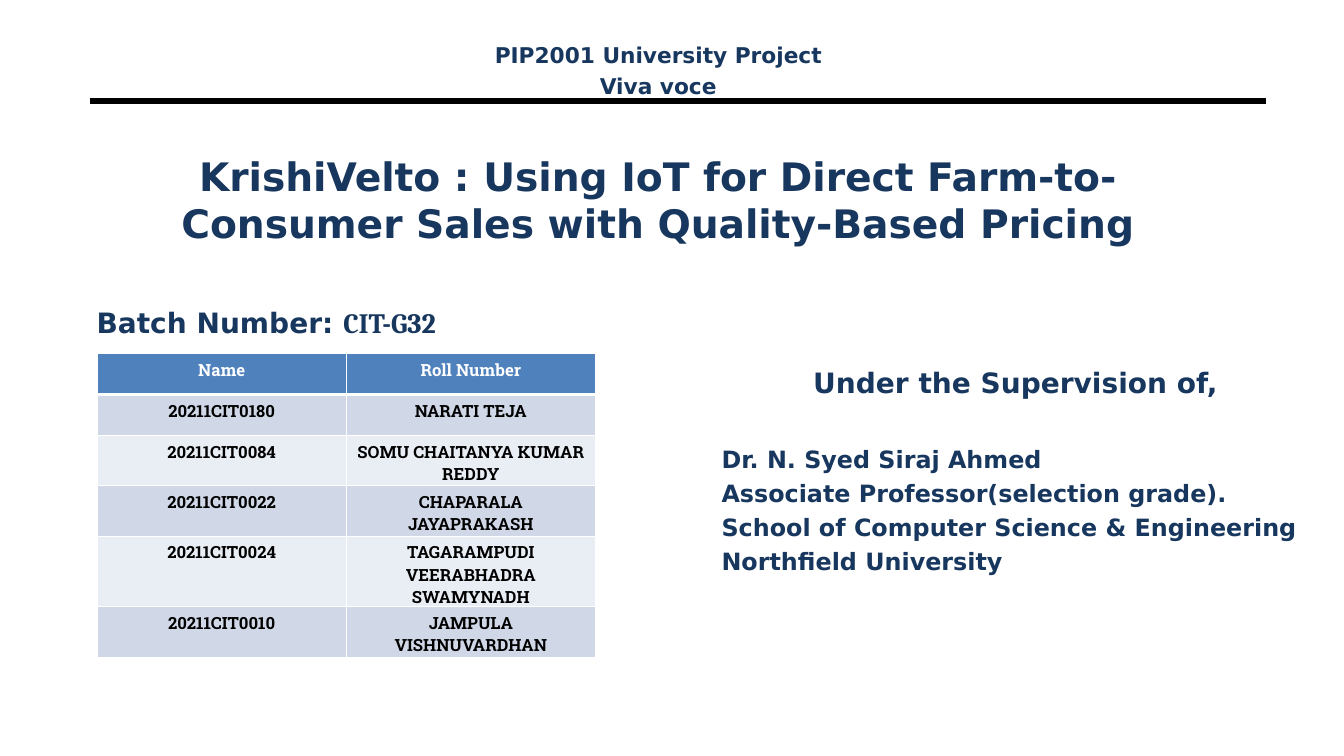
from dataclasses import dataclass

from lxml import etree
from pptx import Presentation
from pptx.dml.color import RGBColor
from pptx.enum.shapes import MSO_CONNECTOR
from pptx.enum.text import MSO_ANCHOR, MSO_AUTO_SIZE, PP_ALIGN
from pptx.oxml.ns import qn
from pptx.util import Pt

STRAIGHT = MSO_CONNECTOR.STRAIGHT
TOP, MIDDLE = MSO_ANCHOR.TOP, MSO_ANCHOR.MIDDLE
LEFT, CENTER = PP_ALIGN.LEFT, PP_ALIGN.CENTER
NO_AUTOFIT = MSO_AUTO_SIZE.NONE

NAVY, WHITE, BLACK = "17375E", "FFFFFF", "000000"
HEADER_FILL = "4F81BD"
BAND_FILLS = ("D0D8E8", "E9EDF4")
SANS, SERIF, SLAB = "DejaVu Sans", "Cambria", "Roboto Slab"


@dataclass(frozen=True)
class Span:
    text: str
    size: float
    font: str = SANS
    color: str = NAVY


@dataclass(frozen=True)
class Para:
    spans: tuple[Span, ...]
    align: PP_ALIGN = LEFT
    before: float = 0


@dataclass(frozen=True)
class Box:
    left: float
    top: float
    width: float
    height: float
    paras: tuple[Para, ...]


TITLE = Box(61.92, 84.24, 815.76, 115.92, (
    Para((Span("KrishiVelto : Using IoT for Direct Farm-to-Consumer Sales "
               "with Quality-Based Pricing", 28),), CENTER),
))

SUPERVISOR_LINES = (
    "Dr. N. Syed Siraj Ahmed",
    "Associate Professor(selection grade).",
    "School of Computer Science & Engineering",
    "Northfield University",
)

BOXES = (
    Box(61.92, 214.56, 312.48, 43.2, (
        Para((Span("Batch Number: ", 20), Span("CIT-G32", 20, SERIF))),
    )),
    Box(508.32, 257.76, 434.16, 191.52, (
        Para((Span("Under the Supervision of,", 20),), CENTER),
        *(Para((Span(line, 17),), before=4 if index else 32)
          for index, line in enumerate(SUPERVISOR_LINES)),
    )),
    Box(313.92, 26.64, 312.48, 43.2, (
        Para((Span("PIP2001 University Project", 15.5),), CENTER),
        Para((Span("Viva voce", 15.5),), CENTER, 3.5),
    )),
)

STUDENTS = (
    ("Name", "Roll Number"),
    ("20211CIT0180", "NARATI TEJA"),
    ("20211CIT0084", "SOMU CHAITANYA KUMAR REDDY"),
    ("20211CIT0022", "CHAPARALA JAYAPRAKASH"),
    ("20211CIT0024", "TAGARAMPUDI VEERABHADRA SWAMYNADH"),
    ("20211CIT0010", "JAMPULA VISHNUVARDHAN"),
)


def rgb(color: str) -> RGBColor:
    return RGBColor.from_string(color)


def write(frame, paras: tuple[Para, ...], anchor: MSO_ANCHOR = TOP) -> None:
    frame.word_wrap = True
    frame.vertical_anchor = anchor
    for index, item in enumerate(paras):
        para = frame.add_paragraph() if index else frame.paragraphs[0]
        para.alignment = item.align
        para.space_before = Pt(item.before)
        for span in item.spans:
            run = para.add_run()
            run.text = span.text
            run.font.size = Pt(span.size)
            run.font.name = span.font
            run.font.bold = True
            run.font.color.rgb = rgb(span.color)


def place_title(page, title: Box) -> None:
    shape = page.shapes.title
    shape.left, shape.top = Pt(title.left), Pt(title.top)
    shape.width, shape.height = Pt(title.width), Pt(title.height)
    shape.text_frame.auto_size = NO_AUTOFIT
    write(shape.text_frame, title.paras, MIDDLE)


def add_box(page, box: Box) -> None:
    shape = page.shapes.add_textbox(
        Pt(box.left), Pt(box.top), Pt(box.width), Pt(box.height))
    write(shape.text_frame, box.paras)


def add_rule(page) -> None:
    rule = page.shapes.add_connector(STRAIGHT, Pt(64.4), Pt(72), Pt(904.3), Pt(72))
    rule.line.color.rgb = rgb(BLACK)
    rule.line.width = Pt(4.5)
    etree.SubElement(rule._element.spPr, qn("a:effectLst"))


def set_borders(cell, widths: dict[str, float]) -> None:
    properties = cell._tc.get_or_add_tcPr()
    for position, (side, width) in enumerate(widths.items()):
        line = etree.Element(qn(f"a:ln{side}"), w=str(Pt(width)))
        fill = etree.SubElement(line, qn("a:solidFill"))
        etree.SubElement(fill, qn("a:srgbClr"), val=WHITE)
        properties.insert(position, line)


def add_students(page) -> None:
    rows, columns = len(STUDENTS), len(STUDENTS[0])
    table = page.shapes.add_table(
        rows, columns, Pt(69.4), Pt(252.6), Pt(356), Pt(29.2 * rows)).table
    for row, values in enumerate(STUDENTS):
        is_header = row == 0
        fill = HEADER_FILL if is_header else BAND_FILLS[(row - 1) % 2]
        color = WHITE if is_header else BLACK
        borders = {"L": 1, "R": 1, "T": 3 if row == 1 else 1, "B": 3 if is_header else 1}
        for column, value in enumerate(values):
            cell = table.cell(row, column)
            cell.fill.solid()
            cell.fill.fore_color.rgb = rgb(fill)
            set_borders(cell, borders)
            write(cell.text_frame, (Para((Span(value, 12, SLAB, color),), CENTER),))


def main() -> None:
    deck = Presentation()
    deck.slide_width, deck.slide_height = Pt(960), Pt(540)
    page = deck.slides.add_slide(deck.slide_layouts.get_by_name("Title Only"))
    add_rule(page)
    place_title(page, TITLE)
    for box in BOXES:
        add_box(page, box)
    add_students(page)
    deck.save("out.pptx")


if __name__ == "__main__":
    main()
